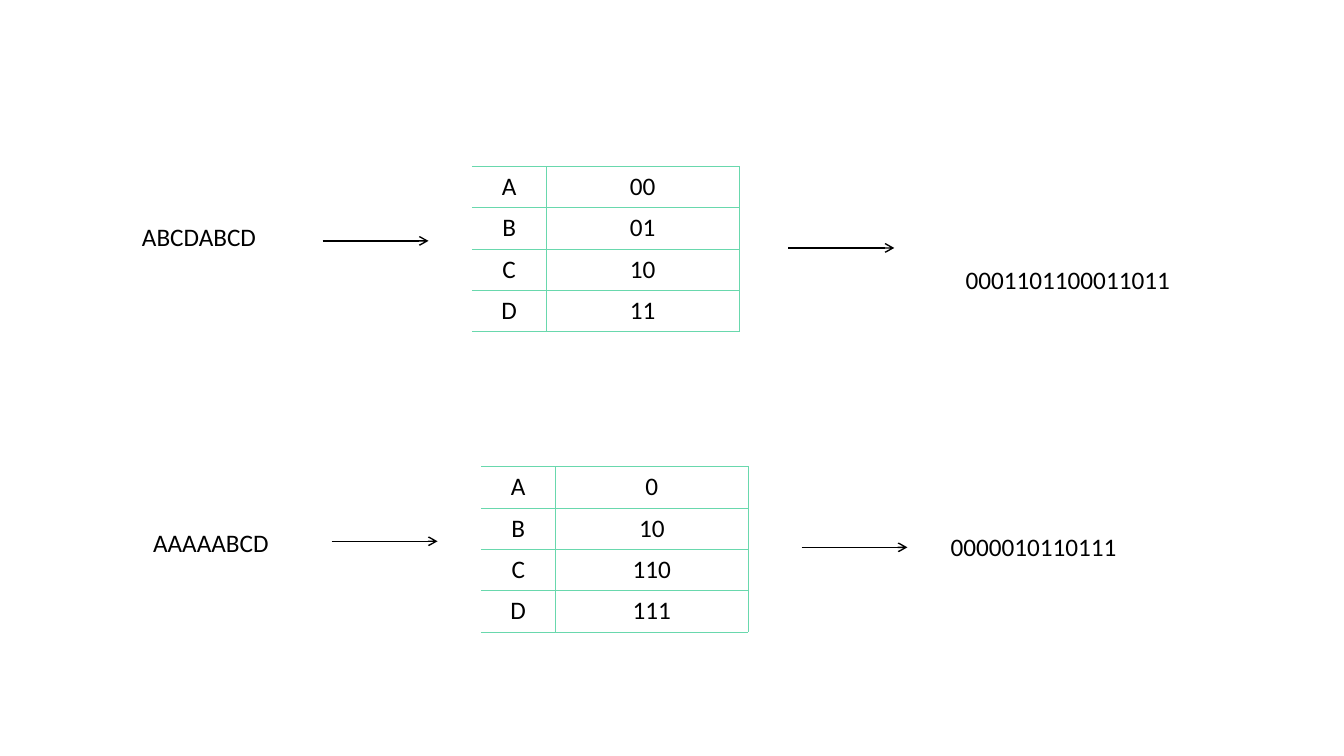
from dataclasses import dataclass

from lxml import etree
from pptx import Presentation
from pptx import util as u
from pptx.dml import color
from pptx.enum import shapes, text
from pptx.oxml import ns

BLACK = "000000"
WHITE = "FFFFFF"
GREEN = "69D8AD"
COLUMN_WIDTHS = (0.74, 1.91)
ROW_HEIGHT = 0.41
ARROW_LENGTH = 1.05


@dataclass
class Label:
    wording: str
    left: float
    top: float
    width: float
    height: float = 1
    margin_top: float = 0.05


@dataclass
class CodeTable:
    left: float
    top: float
    codes: tuple[str, ...]


@dataclass
class Arrow:
    left: float
    top: float


@dataclass
class Encoding:
    message: Label
    table: CodeTable
    arrows: tuple[Arrow, Arrow]
    bits: Label


ENCODINGS = (
    Encoding(
        Label("ABCDABCD", 1.31, 2.15, 5.36, 0.72),
        CodeTable(4.68, 1.65, ("00", "01", "10", "11")),
        (Arrow(3.2, 2.39), Arrow(7.82, 2.46)),
        Label("0001101100011011", 9.48, 2.27, 2.4, margin_top=0.35),
    ),
    Encoding(
        Label("AAAAABCD", 1.42, 5.18, 1.5),
        CodeTable(4.77, 4.63, ("0", "10", "110", "111")),
        (Arrow(3.29, 5.37), Arrow(7.95, 5.43)),
        Label("0000010110111", 9.33, 5.22, 2),
    ),
)


def rgb(value: str) -> color.RGBColor:
    return color.RGBColor.from_string(value)


def add_run(paragraph, wording: str) -> None:
    run = paragraph.add_run()
    run.text = wording
    run.font.name = "Calibri"
    run.font.size = u.Pt(18)
    run.font.color.rgb = rgb(BLACK)


def add_label(slide, label: Label) -> None:
    box = slide.shapes.add_textbox(
        u.Inches(label.left), u.Inches(label.top),
        u.Inches(label.width), u.Inches(label.height),
    )
    frame = box.text_frame
    frame.word_wrap = True
    frame.margin_top = u.Inches(label.margin_top)
    add_run(frame.paragraphs[0], label.wording)


def set_borders(cell, has_left: bool) -> None:
    properties = cell._tc.get_or_add_tcPr()
    for index, side in enumerate(("lnL", "lnR", "lnT", "lnB")):
        line = etree.Element(ns.qn(f"a:{side}"), w=str(u.Pt(0.5)))
        if side == "lnL" and not has_left:
            etree.SubElement(line, ns.qn("a:noFill"))
        else:
            fill = etree.SubElement(line, ns.qn("a:solidFill"))
            etree.SubElement(fill, ns.qn("a:srgbClr"), val=GREEN)
        properties.insert(index, line)


def add_code_table(slide, code_table: CodeTable) -> None:
    row_count = len(code_table.codes)
    table = slide.shapes.add_table(
        row_count, len(COLUMN_WIDTHS),
        u.Inches(code_table.left), u.Inches(code_table.top),
        u.Inches(sum(COLUMN_WIDTHS)), u.Inches(ROW_HEIGHT * row_count),
    ).table
    table.first_row = False
    table.horz_banding = False
    for column, width in zip(table.columns, COLUMN_WIDTHS):
        column.width = u.Inches(width)
    for row, entry in enumerate(zip("ABCD", code_table.codes)):
        for column, wording in enumerate(entry):
            cell = table.cell(row, column)
            cell.vertical_anchor = text.MSO_ANCHOR.MIDDLE
            cell.fill.solid()
            cell.fill.fore_color.rgb = rgb(WHITE)
            set_borders(cell, column > 0)
            paragraph = cell.text_frame.paragraphs[0]
            paragraph.alignment = text.PP_ALIGN.CENTER
            add_run(paragraph, wording)


def add_arrow(slide, arrow: Arrow) -> None:
    connector = slide.shapes.add_connector(
        shapes.MSO_CONNECTOR.STRAIGHT,
        u.Inches(arrow.left), u.Inches(arrow.top),
        u.Inches(arrow.left + ARROW_LENGTH), u.Inches(arrow.top),
    )
    connector.line.width = u.Pt(1)
    connector.line.color.rgb = rgb(BLACK)
    line = connector.line._get_or_add_ln()
    etree.SubElement(line, ns.qn("a:tailEnd"), type="arrow")
    etree.SubElement(connector._element.spPr, ns.qn("a:effectLst"))


def main() -> None:
    presentation = Presentation()
    presentation.slide_width = u.Inches(13.33)
    presentation.slide_height = u.Inches(7.5)
    slide = presentation.slides.add_slide(presentation.slide_layouts[6])
    for encoding in ENCODINGS:
        add_label(slide, encoding.message)
        add_code_table(slide, encoding.table)
        for arrow in encoding.arrows:
            add_arrow(slide, arrow)
        add_label(slide, encoding.bits)
    presentation.save("out.pptx")


if __name__ == "__main__":
    main()
